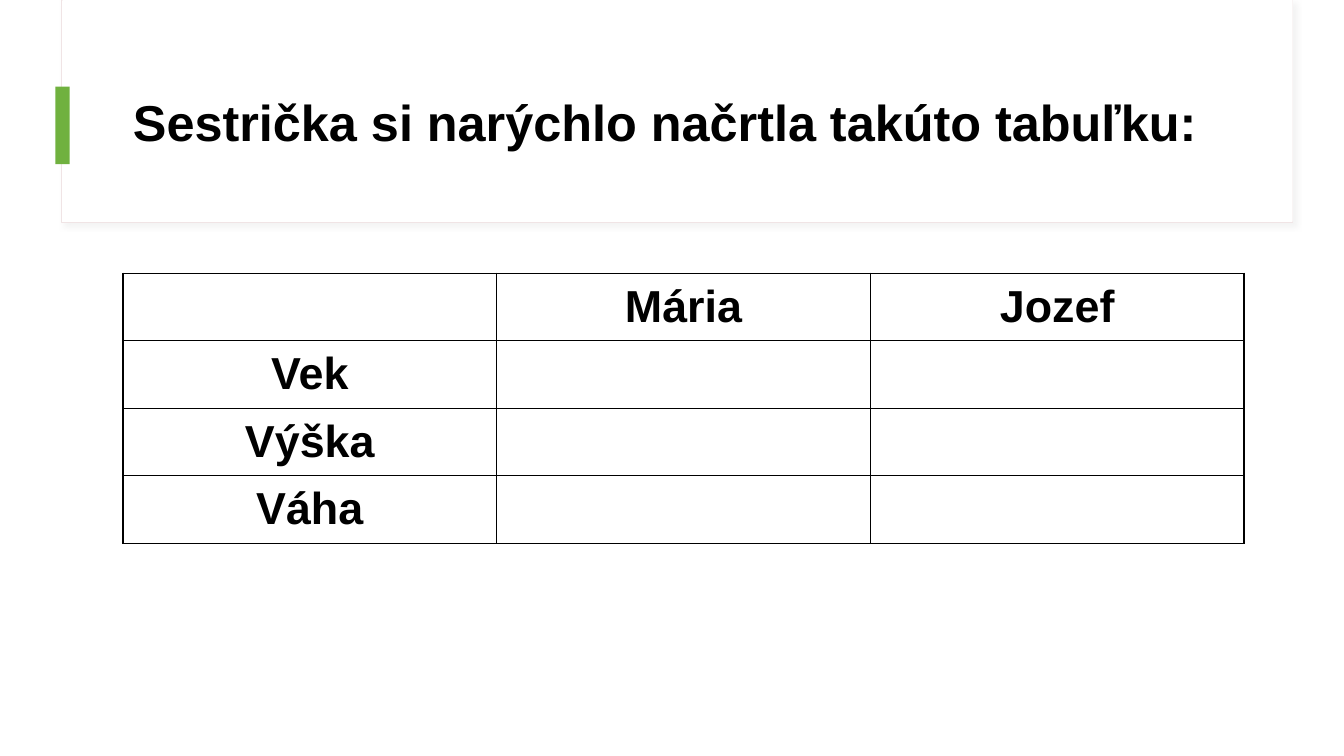
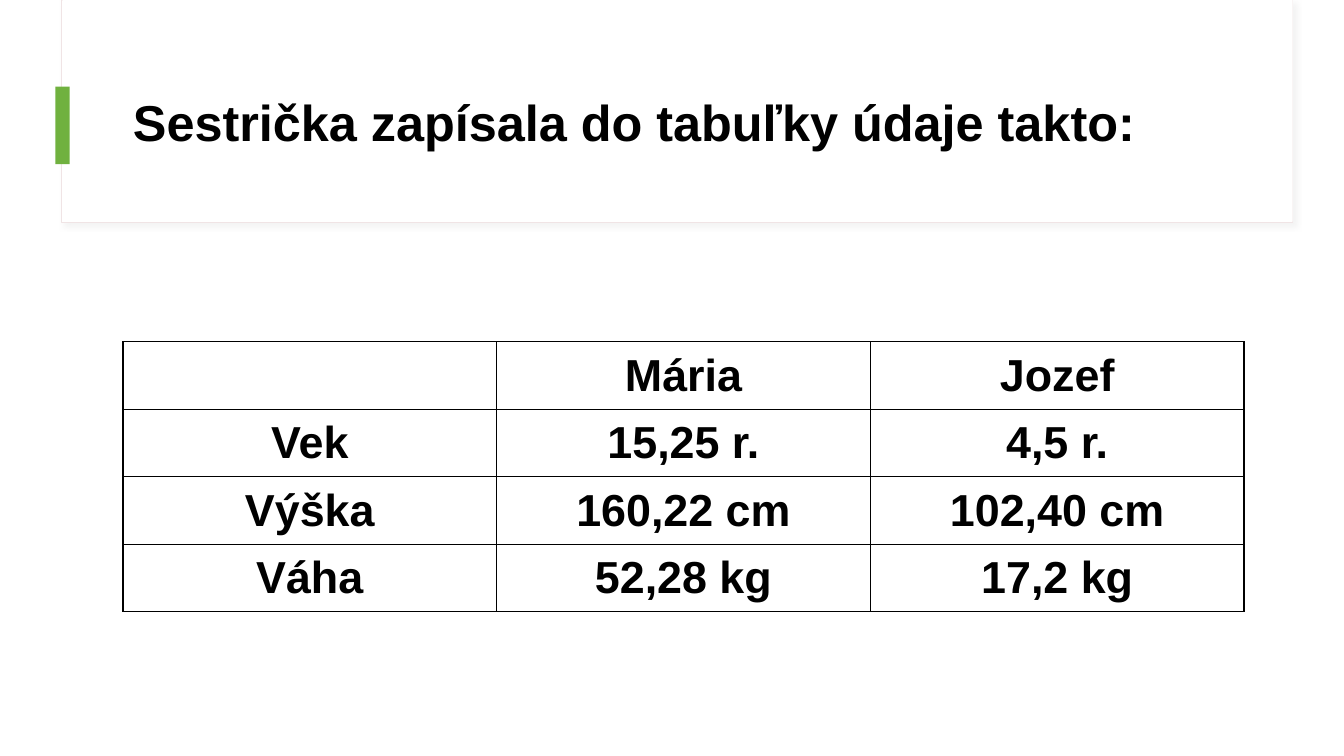
from lxml import etree
from pptx import Presentation
from pptx.dml.color import RGBColor
from pptx.enum import shapes, text
from pptx.oxml import parse_xml
from pptx.oxml.ns import nsdecls
from pptx.util import Inches, Pt

WHITE = RGBColor(0xFF, 0xFF, 0xFF)
BLACK = RGBColor(0, 0, 0)
GREEN = RGBColor(0x70, 0xB1, 0x3F)
PINK = RGBColor(0xF0, 0xE4, 0xE5)
GREY = RGBColor(0xD9, 0xD9, 0xD9)

LEFT, WIDTH, ROW = 1.22, 11.12, 0.67
HEAD = ["", "Mária", "Jozef"]
PAGES = [
    ("Sestrička si narýchlo načrtla takúto tabuľku:", 2.71,
     [HEAD, ["Vek", "", ""], ["Výška", "", ""], ["Váha", "", ""]]),
    ("Sestrička zapísala do tabuľky údaje takto:", 3.39,
     [HEAD, ["Vek", "15,25 r.", "4,5 r."],
      ["Výška", "160,22 cm", "102,40 cm"],
      ["Váha", "52,28 kg", "17,2 kg"]]),
]


def add_rect(slide, left, top, width, height, fill):
    rect = slide.shapes.add_shape(
        shapes.MSO_SHAPE.RECTANGLE,
        Inches(left), Inches(top), Inches(width), Inches(height))
    rect.shadow.inherit = False
    rect.fill.solid()
    rect.fill.fore_color.rgb = fill
    rect.line.fill.background()
    return rect


def set_font(para, size):
    para.font.name = "Arial"
    para.font.size = Pt(size)
    para.font.bold = True
    para.font.color.rgb = BLACK


deck = Presentation()
deck.slide_width, deck.slide_height = Inches(13.33), Inches(7.5)

for title, top, rows in PAGES:
    slide = deck.slides.add_slide(deck.slide_layouts[6])

    # Title panel with a soft shadow and a green marker
    frame = add_rect(slide, 0.61, 0, 12.21, 2.21, WHITE)
    frame.line.color.rgb = PINK
    frame.line.width = Pt(0.75)
    effects = frame.element.spPr.find("{*}effectLst")
    effects.append(parse_xml(
        f'<a:outerShdw {nsdecls("a")} blurRad="{Pt(4)}" dist="{Pt(3)}" '
        f'dir="2700000" algn="tl" rotWithShape="0"><a:srgbClr val="{GREY}">'
        '<a:alpha val="30000"/></a:srgbClr></a:outerShdw>'))
    add_rect(slide, 0.62, 0, 12.2, 2.2, WHITE)
    add_rect(slide, 0.55, 0.86, 0.14, 0.77, GREEN)

    box = slide.shapes.add_textbox(
        Inches(LEFT), Inches(0.6), Inches(WIDTH), Inches(1.29)).text_frame
    box.word_wrap = True
    box.vertical_anchor = text.MSO_ANCHOR.MIDDLE
    para = box.paragraphs[0]
    para.text = title
    para.line_spacing = 0.9
    set_font(para, 36)

    grid = slide.shapes.add_table(
        len(rows), len(HEAD), Inches(LEFT), Inches(top),
        Inches(WIDTH), Inches(ROW * len(rows))).table
    grid.horz_banding = False
    for r, row in enumerate(rows):
        for c, word in enumerate(row):
            cell = grid.cell(r, c)
            props = cell._tc.get_or_add_tcPr()
            for side in ("lnL", "lnR", "lnT", "lnB"):
                props.append(parse_xml(
                    f'<a:{side} {nsdecls("a")} w="{Pt(1)}"><a:solidFill>'
                    f'<a:srgbClr val="{BLACK}"/></a:solidFill></a:{side}>'))
            cell.fill.background()
            cell.vertical_anchor = text.MSO_ANCHOR.MIDDLE
            para = cell.text_frame.paragraphs[0]
            para.text = word
            para.alignment = text.PP_ALIGN.CENTER
            set_font(para, 32)

deck.save("out.pptx")
